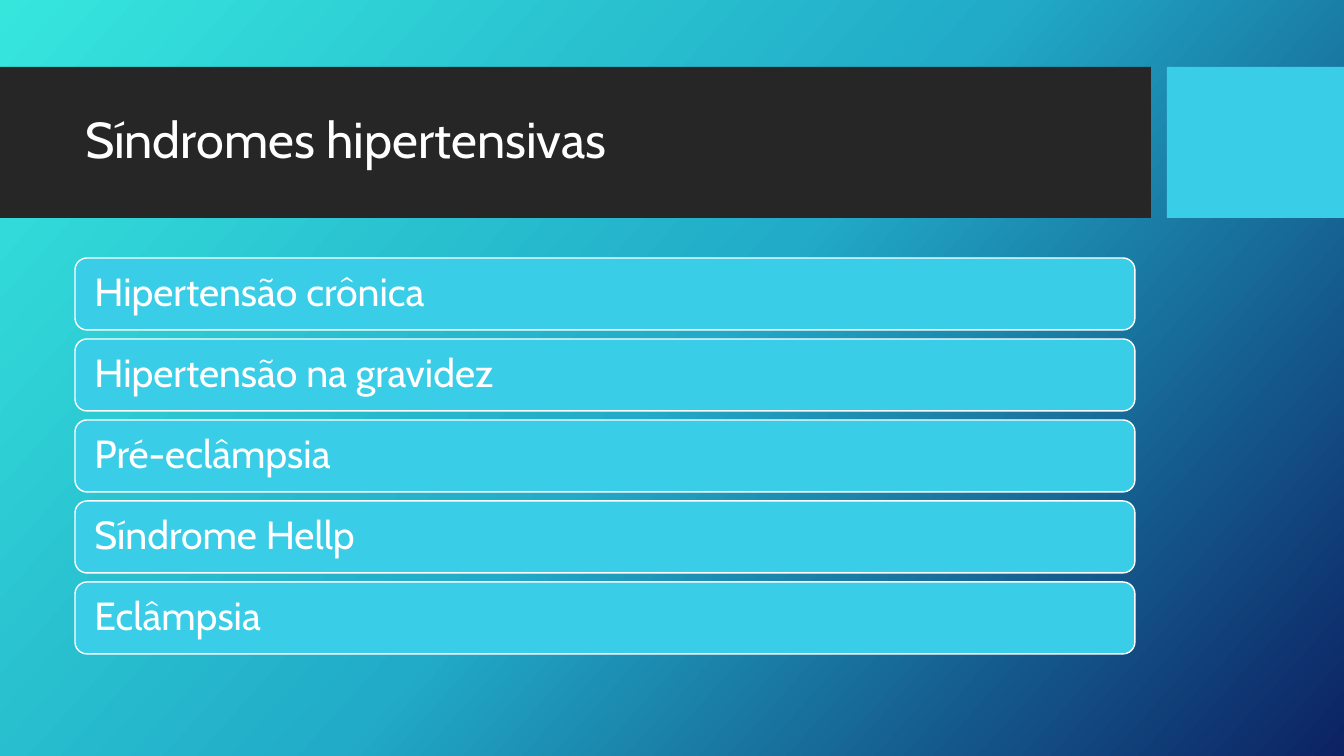
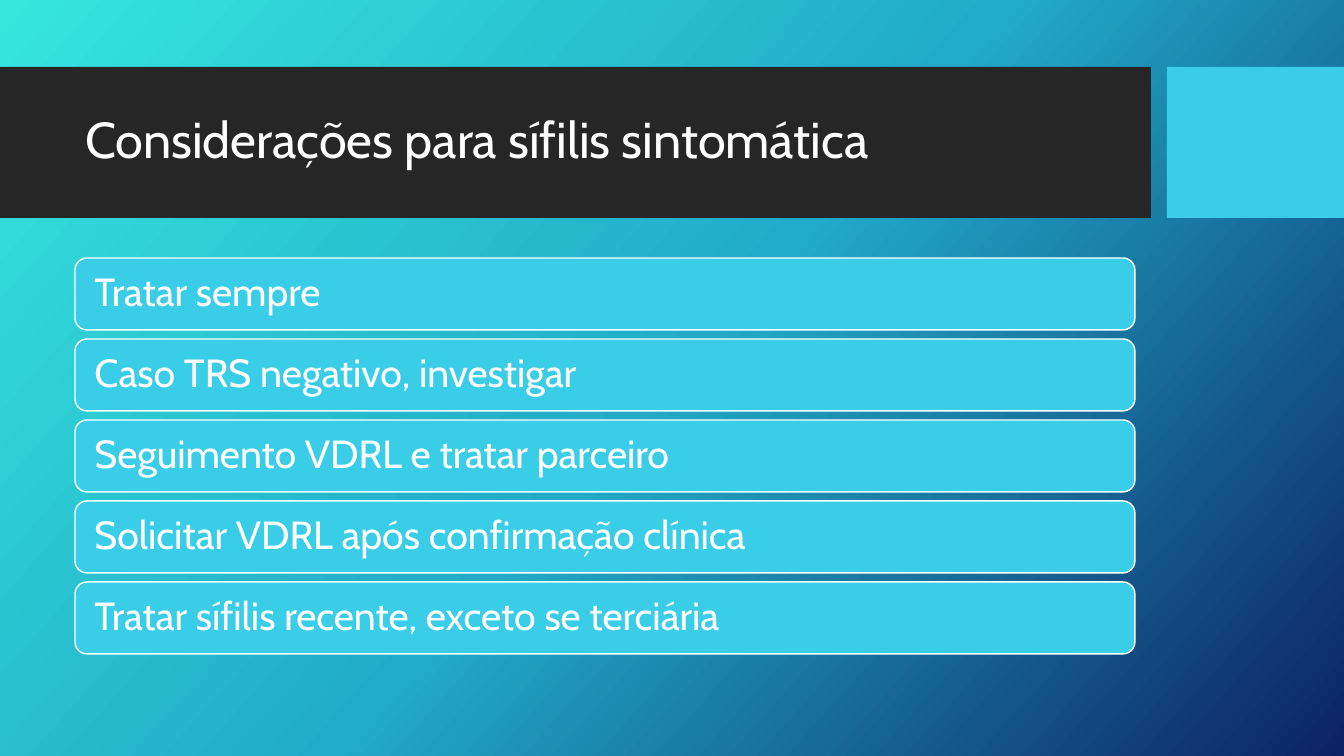
"""Build two slides listing hypertensive syndromes and syphilis care points."""
from pptx import Presentation
from pptx.dml.color import RGBColor
from pptx.enum.shapes import MSO_SHAPE as Preset
from pptx.enum.text import MSO_ANCHOR as Anchor, PP_ALIGN as Align
from pptx.oxml import parse_xml
from pptx.oxml.ns import nsdecls, qn
from pptx.util import Pt

SCALE = 12192000 / 1344
FONT = "Cabin"
COLORS = {
    "band": "262626",
    "accent": "39CDE7",
    "white": "FFFFFF",
    "turquoise": "36E6DD",
    "blue": "21ABC8",
    "navy": "0C2263",
}
GRADIENT = [(0, "turquoise"), (50, "blue"), (100, "navy")]
GRADIENT_ANGLE = 42
BANDS = [(0, 1151, "band"), (1167, 177, "accent")]
BAND_TOP, BAND_HEIGHT = 67, 151
TITLE_BOX = (75, 83, 1059, 119)
ITEM_LEFT, ITEM_TOP, ITEM_WIDTH, ITEM_HEIGHT, ITEM_PITCH = 75, 258, 1060, 72, 81
SLIDES = [
    ("Síndromes hipertensivas", [
        "Hipertensão crônica",
        "Hipertensão na gravidez",
        "Pré-eclâmpsia",
        "Síndrome Hellp",
        "Eclâmpsia",
    ]),
    ("Considerações para sífilis sintomática", [
        "Tratar sempre",
        "Caso TRS negativo, investigar",
        "Seguimento VDRL e tratar parceiro",
        "Solicitar VDRL após confirmação clínica",
        "Tratar sífilis recente, exceto se terciária",
    ]),
]


def write_text(shape, text, *, size, color="white", inset=10):
    frame = shape.text_frame
    frame.word_wrap = True
    frame.vertical_anchor = Anchor.MIDDLE
    frame.margin_left = frame.margin_right = round(inset * SCALE)
    paragraph = frame.paragraphs[0]
    paragraph.alignment = Align.LEFT
    paragraph.line_spacing = 0.9
    run = paragraph.add_run()
    run.text = text
    run.font.name = FONT
    run.font.size = Pt(size)
    run.font.color.rgb = RGBColor.from_string(COLORS[color])


def add_box(slide, preset, box, fill, line=None):
    shape = slide.shapes.add_shape(preset, *(round(length * SCALE) for length in box))
    shape.shadow.inherit = False
    shape.fill.solid()
    shape.fill.fore_color.rgb = RGBColor.from_string(COLORS[fill])
    if line:
        shape.line.color.rgb = RGBColor.from_string(COLORS[line])
        shape.line.width = Pt(1)
    else:
        shape.line.fill.background()
    return shape


presentation = Presentation()
presentation.slide_width = round(1344 * SCALE)
presentation.slide_height = round(756 * SCALE)
layout = presentation.slide_layouts[5]

stops = "".join(
    f'<a:gs pos="{position * 1000}"><a:srgbClr val="{COLORS[name]}"/></a:gs>'
    for position, name in GRADIENT
)
background = parse_xml(
    f'<p:bg {nsdecls("p", "a")}><p:bgPr><a:gradFill rotWithShape="1"><a:gsLst>{stops}</a:gsLst>'
    f'<a:lin ang="{GRADIENT_ANGLE * 60000}" scaled="0"/></a:gradFill><a:effectLst/></p:bgPr></p:bg>'
)
layout.element.find(qn("p:cSld")).insert(0, background)

layout_title = layout.placeholders[0]
layout_title.left, layout_title.top, layout_title.width, layout_title.height = (
    round(length * SCALE) for length in TITLE_BOX
)

slides = [presentation.slides.add_slide(layout) for _ in SLIDES]

for number, (left, width, fill) in enumerate(BANDS):
    band = add_box(slides[0], Preset.RECTANGLE, (left, BAND_TOP, width, BAND_HEIGHT), fill)
    band.element.nvSpPr.cNvPr.set("id", str(20 + number))
    layout.shapes.element.insert(2 + number, band.element)

for slide, (title, items) in zip(slides, SLIDES):
    write_text(slide.shapes.title, title, size=36)
    for row, item in enumerate(items):
        box = (ITEM_LEFT, ITEM_TOP + row * ITEM_PITCH, ITEM_WIDTH, ITEM_HEIGHT)
        pill = add_box(slide, Preset.ROUNDED_RECTANGLE, box, "accent", line="white")
        write_text(pill, item, size=28, inset=16)

presentation.save("out.pptx")
